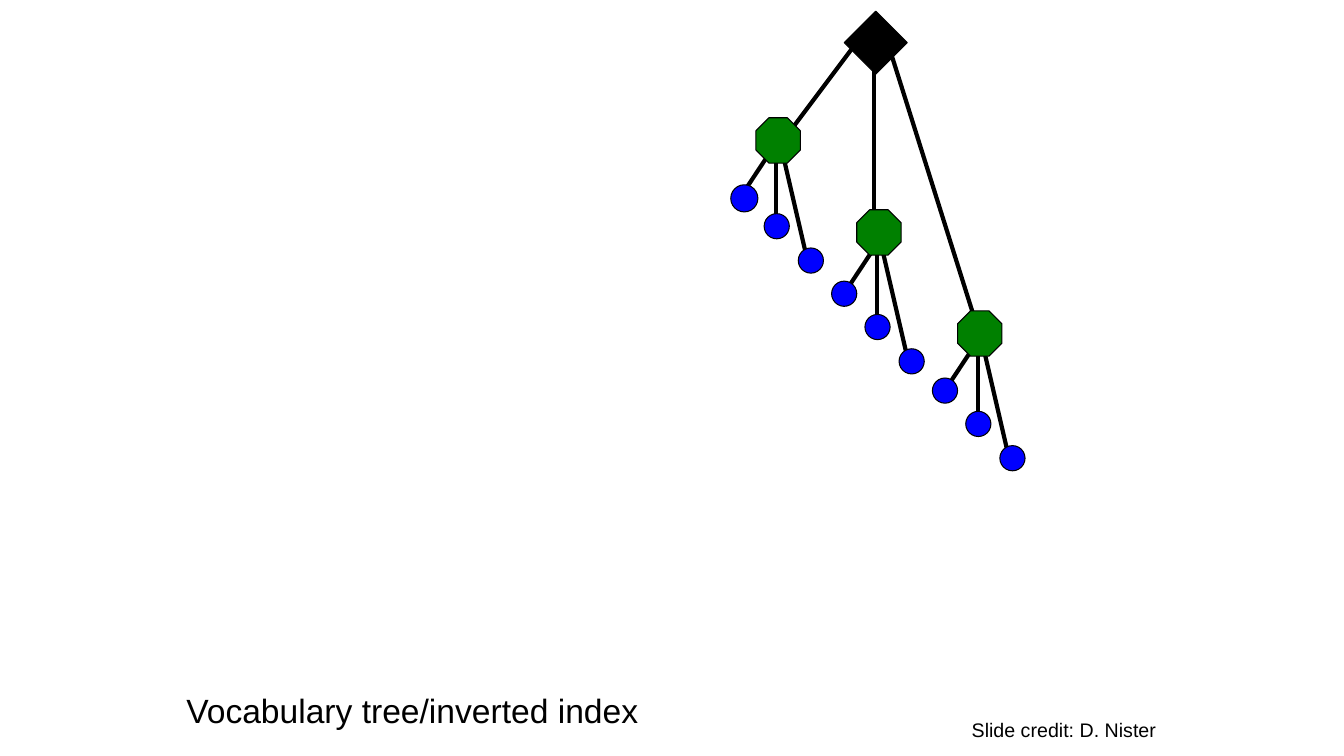
from dataclasses import dataclass

from lxml import etree
from pptx import Presentation
from pptx.dml.color import RGBColor
from pptx.enum.shapes import MSO_CONNECTOR, MSO_SHAPE
from pptx.enum.text import MSO_ANCHOR, MSO_AUTO_SIZE
from pptx.oxml.ns import qn
from pptx.util import Pt

STRAIGHT = MSO_CONNECTOR.STRAIGHT
DIAMOND = MSO_SHAPE.DIAMOND
OCTAGON = MSO_SHAPE.OCTAGON
OVAL = MSO_SHAPE.OVAL
CONNECTOR_DOT = MSO_SHAPE.FLOWCHART_CONNECTOR
MIDDLE = MSO_ANCHOR.MIDDLE
TOP = MSO_ANCHOR.TOP
FIT_SHAPE = MSO_AUTO_SIZE.SHAPE_TO_FIT_TEXT
NO_FIT = MSO_AUTO_SIZE.NONE


@dataclass(frozen=True)
class Theme:
    font: str = "Arial"
    title_size: float = 24
    credit_size: float = 14
    ink: RGBColor = RGBColor(0, 0, 0)
    branch: RGBColor = RGBColor(0, 128, 0)
    leaf: RGBColor = RGBColor(0, 0, 255)
    outline: float = 0.75
    edge: float = 3


THEME = Theme()

TITLE = "Vocabulary tree/inverted index"
TITLE_BOX = (126, 474, 612, 66)
CREDIT = "Slide credit: D. Nister"
CREDIT_BOX = (687, 509.5, 147, 24.5)

ROOT_BOX = (603, 8, 45, 45)
ROOT_EDGES = [
    ((558, 102.2), (612, 30.2)),
    ((624.2, 174.2), (624.2, 36)),
    ((702, 246.2), (635.8, 36)),
]

# Branches step right evenly; each has a node top and a twig base height.
BRANCH_LEFT, BRANCH_STEP = 540, 72
BRANCH_SIZE = (31.7, 32.4)
BRANCH_HEIGHTS = [(84.1, 102.2), (149.8, 174.2), (222, 243.4)]

# Twigs and leaves are measured from the branch left edge and twig base.
TWIGS = [
    ((-9.4, 36), (14.4, 0)),
    ((14.4, 1.4), (14.4, 61.6)),
    ((18, 3), (36, 80.6)),
]
LEAVES = [(-18, 26.6), (5.8, 50.4), (30.2, 74.9)]
LEAF_SIZE = 18
FIRST_LEAF_BOX = (522, 132, 19.4, 19.4)


def points(values):
    return [Pt(value) for value in values]


def add_edge(page, start, end):
    edge = page.shapes.add_connector(STRAIGHT, *points(start + end))
    edge.line.color.rgb = THEME.ink
    edge.line.width = Pt(THEME.edge)
    etree.SubElement(edge._element.spPr, qn("a:effectLst"))


def add_node(page, kind, box, color):
    node = page.shapes.add_shape(kind, *points(box))
    node.shadow.inherit = False
    node.fill.solid()
    node.fill.fore_color.rgb = color
    node.line.color.rgb = THEME.ink
    node.line.width = Pt(THEME.outline)


def add_label(page, text, box, size, wrap, anchor, fit):
    frame = page.shapes.add_textbox(*points(box)).text_frame
    frame.word_wrap = wrap
    frame.vertical_anchor = anchor
    frame.auto_size = fit
    span = frame.paragraphs[0].add_run()
    span.text = text
    span.font.name = THEME.font
    span.font.size = Pt(size)
    span.font.color.rgb = THEME.ink


def add_twigs_and_leaves(page, left, base, is_first):
    for start, end in TWIGS:
        add_edge(page, (left + start[0], base + start[1]),
                 (left + end[0], base + end[1]))
    for index, (across, down) in enumerate(LEAVES):
        if is_first and index == 0:
            add_node(page, CONNECTOR_DOT, FIRST_LEAF_BOX, THEME.leaf)
        else:
            box = (left + across, base + down, LEAF_SIZE, LEAF_SIZE)
            add_node(page, OVAL, box, THEME.leaf)


def add_tree(page):
    branches = [(BRANCH_LEFT + index * BRANCH_STEP, top, base)
                for index, (top, base) in enumerate(BRANCH_HEIGHTS)]
    for left, top, base in branches:
        add_twigs_and_leaves(page, left, base, left == BRANCH_LEFT)
    for start, end in ROOT_EDGES:
        add_edge(page, start, end)
    add_node(page, DIAMOND, ROOT_BOX, THEME.ink)
    for left, top, base in branches:
        add_node(page, OCTAGON, (left, top, *BRANCH_SIZE), THEME.branch)


def main():
    deck = Presentation()
    deck.slide_width, deck.slide_height = Pt(960), Pt(540)
    page = deck.slides.add_slide(deck.slide_layouts[6])
    add_tree(page)
    add_label(page, CREDIT, CREDIT_BOX, THEME.credit_size, False, TOP, FIT_SHAPE)
    add_label(page, TITLE, TITLE_BOX, THEME.title_size, True, MIDDLE, NO_FIT)
    deck.save("out.pptx")


if __name__ == "__main__":
    main()
